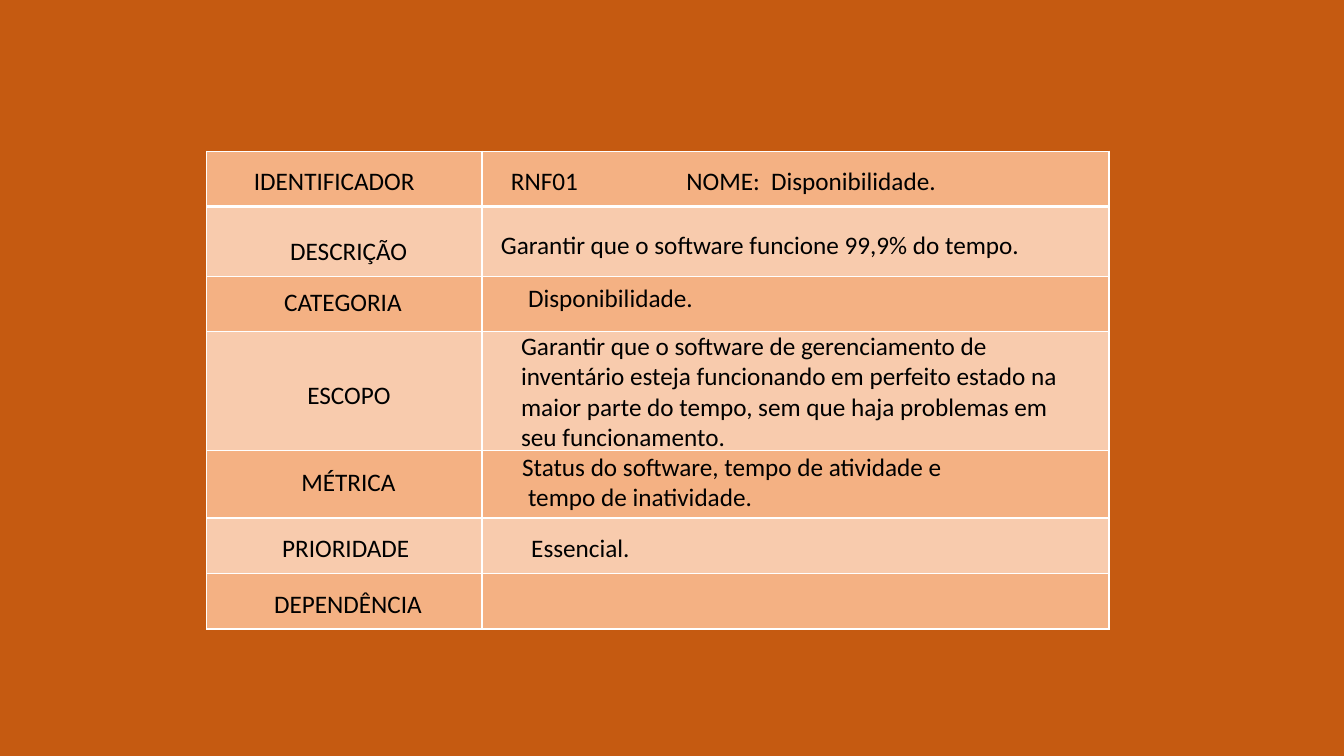
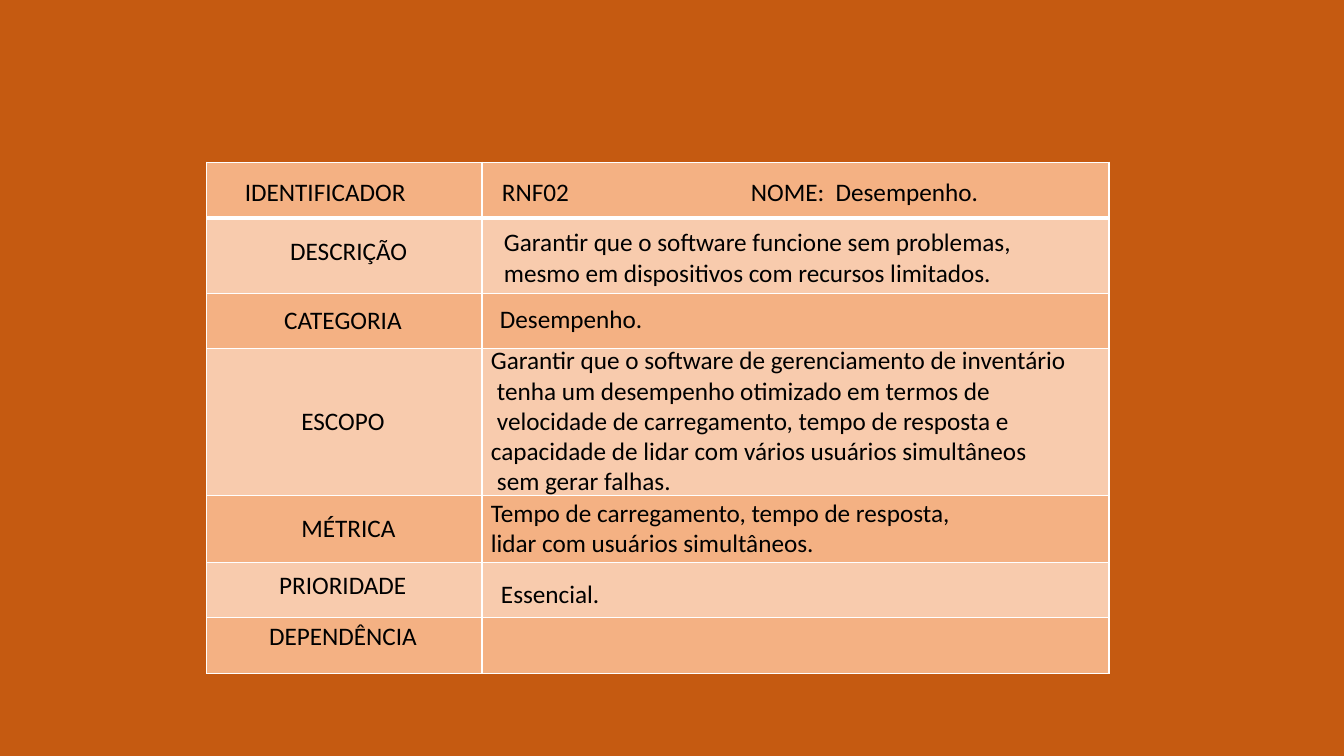
from pptx import Presentation
from pptx.dml.color import RGBColor
from pptx.enum.text import MSO_AUTO_SIZE
from pptx.oxml.ns import qn
from pptx.util import Inches, Pt
from lxml.etree import SubElement

# Shared look
RUST = RGBColor(0xC5, 0x5A, 0x11)
DARK = RGBColor(0xF4, 0xB1, 0x83)
LIGHT = RGBColor(0xF8, 0xCB, 0xAD)
WHITE = RGBColor(0xFF, 0xFF, 0xFF)
BLACK = RGBColor(0, 0, 0)
FONT = {"name": "Calibri", "size": Pt(18)}
LEFT, COLS = 2.05, (2.73, 6.22)
SPACE = 0.06  # indent of a stepped-in line
LABELS = (("DESCRIÇÃO", 1.37), ("CATEGORIA", 1.38), ("ESCOPO", 1.03),
          ("MÉTRICA", 1.14), ("PRIORIDADE", 1.47), ("DEPENDÊNCIA", 1.68))

# Each value: left, top, width, wrap, lines, indented line numbers
SLIDES = [
    {"top": 1.5,
     "rows": (0.55, 0.69, 0.55, 1.18, 0.67, 0.55, 0.55),
     "head": (2.42, 1.59, "IDENTIFICADOR\tRNF01\tNOME:\tDisponibilidade."),
     "tabs": (2.55, 4.29, 5.13),
     "spots": ((2.78, 2.29), (2.72, 2.79), (2.95, 3.71),
               (2.89, 4.58), (2.7, 5.23), (2.62, 5.79)),
     "values": [
         (4.87, 2.23, 6.17, True,
          ["Garantir que o software funcione 99,9% do tempo."], ()),
         (5.08, 2.75, 1.91, False, ["Disponibilidade."], (0,)),
         (5.08, 4.43, 5.84, True,
          ["Status do software, tempo de atividade e",
           "tempo de inatividade."], (1,)),
         (5.07, 3.23, 5.67, True,
          ["Garantir que o software de gerenciamento de inventário esteja "
           "funcionando em perfeito estado na maior parte do tempo, sem que "
           "haja problemas em seu funcionamento."], ()),
         (5.17, 5.23, 1.19, False, ["Essencial."], ())]},
    {"top": 1.61,
     "rows": (0.55, 0.75, 0.55, 1.46, 0.66, 0.55, 0.55),
     "head": (2.33, 1.7, "IDENTIFICADOR\tRNF02\tNOME:\tDesempenho."),
     "tabs": (2.55, 5.02, 5.86),
     "spots": ((2.78, 2.29), (2.72, 2.97), (2.89, 3.97),
               (2.89, 5.03), (2.67, 5.6), (2.57, 6.11)),
     "values": [
         (4.9, 2.2, 5.36, False,
          ["Garantir que o software funcione sem problemas,",
           "mesmo em dispositivos com recursos limitados."], ()),
         (4.8, 2.96, 1.69, False, ["Desempenho."], (0,)),
         (4.77, 3.37, 5.98, False,
          ["Garantir que o software de gerenciamento de inventário",
           "tenha um desempenho otimizado em termos de",
           "velocidade de carregamento, tempo de resposta e",
           "capacidade de lidar com vários usuários simultâneos",
           "sem gerar falhas."], (1, 2, 4)),
         (4.77, 4.88, 4.87, False,
          ["Tempo de carregamento, tempo de resposta,",
           "lidar com usuários simultâneos."], ()),
         (4.87, 5.69, 1.19, False, ["Essencial."], ())]},
]


def add_text(slide, x, y, wide, wrap, lines, steps=(), tabs=()):
    high = 0.1 + 0.3 * len(lines)
    box = slide.shapes.add_textbox(Inches(x), Inches(y), Inches(wide), Inches(high))
    frame = box.text_frame
    frame.word_wrap = wrap
    frame.auto_size = MSO_AUTO_SIZE.SHAPE_TO_FIT_TEXT
    for i, line in enumerate(lines):
        para = frame.add_paragraph() if i else frame.paragraphs[0]
        props = para._p.get_or_add_pPr()
        if i in steps:
            props.set("marL", str(Inches(SPACE)))
        if tabs:
            stops = SubElement(props, qn("a:tabLst"))
            for tab in tabs:
                SubElement(stops, qn("a:tab"), pos=str(Inches(tab)), algn="l")
        run = para.add_run()
        run.text = line
        for key, val in FONT.items():
            setattr(run.font, key, val)
        run.font.color.rgb = BLACK


def style_cell(cell, fill, widths):
    props = cell._tc.get_or_add_tcPr()
    for side, width in widths.items():
        line = SubElement(props, qn("a:ln" + side), w=str(Pt(width)))
        solid = SubElement(line, qn("a:solidFill"))
        SubElement(solid, qn("a:srgbClr"), val=str(WHITE))
    cell.fill.solid()
    cell.fill.fore_color.rgb = fill


deck = Presentation()
deck.slide_width, deck.slide_height = Inches(13.33), Inches(7.5)
back = deck.slide_master.background.fill
back.solid()
back.fore_color.rgb = RUST

for data in SLIDES:
    slide = deck.slides.add_slide(deck.slide_layouts[6])

    # Banded grid with a thick rule under the first row
    rows = data["rows"]
    grid = slide.shapes.add_table(
        len(rows), len(COLS), Inches(LEFT), Inches(data["top"]),
        Inches(sum(COLS)), Inches(sum(rows))).table
    for col, wide in zip(grid.columns, COLS):
        col.width = Inches(wide)
    for i, high in enumerate(rows):
        grid.rows[i].height = Inches(high)
        rules = {"L": 1, "R": 1, "T": 3 if i == 1 else 1, "B": 3 if i == 0 else 1}
        for cell in grid.rows[i].cells:
            style_cell(cell, LIGHT if i % 2 else DARK, rules)

    # Heading line, row labels and values
    x, y, text = data["head"]
    add_text(slide, x, y, 8.5, True, [text], tabs=data["tabs"])
    for (name, wide), (x, y) in zip(LABELS, data["spots"]):
        add_text(slide, x, y, wide, False, [name])
    for value in data["values"]:
        add_text(slide, *value)

deck.save("out.pptx")
